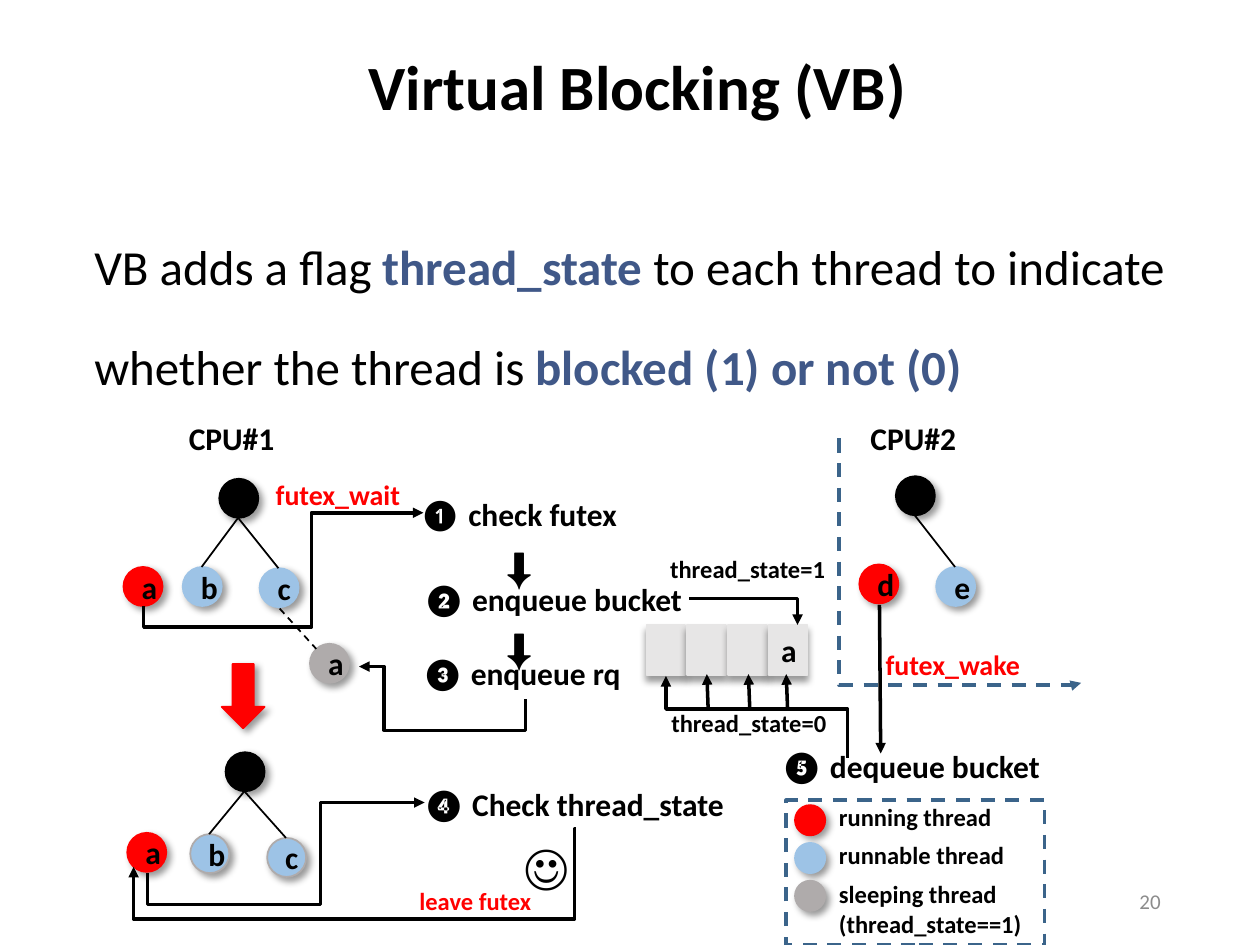
from pptx import Presentation
from pptx.dml.color import RGBColor
from pptx.enum.dml import MSO_LINE
from pptx.enum.shapes import MSO_CONNECTOR, MSO_SHAPE
from pptx.enum.text import MSO_ANCHOR, PP_ALIGN
from pptx.oxml.ns import qn
from pptx.util import Emu, Pt
from lxml.etree import SubElement

PX = 9144  # 100 px to the inch
BLACK = RGBColor(0x00, 0x00, 0x00)
RED = RGBColor(0xFF, 0x00, 0x00)
BLUE = RGBColor(0x9D, 0xC3, 0xE6)
GRAY = RGBColor(0xAF, 0xAB, 0xAB)
PALE = RGBColor(0xE7, 0xE6, 0xE6)
STEEL = RGBColor(0x3B, 0x64, 0x8A)
NAVY = RGBColor(0x40, 0x58, 0x88)
DIM = RGBColor(0x8C, 0x8C, 0x8C)
NODE = 31


def px(*nums):
    return [Emu(n * PX) for n in nums]


def write(frame, text, size=18, color=BLACK, bold=True, align=PP_ALIGN.LEFT,
          space=None):
    """Fill a frame; text is a string or a list of (text, color, bold) runs."""
    runs = [(text, color, bold)] if isinstance(text, str) else text
    para = frame.paragraphs[0]
    para.alignment = align
    if space:
        para.line_spacing = space
    for words, tint, heavy in runs:
        for i, line in enumerate(words.split("\n")):
            if i:
                para = frame.add_paragraph()
                para.alignment = align
            run = para.add_run()
            run.text = line
            run.font.name = "Calibri"
            run.font.size = Pt(size)
            run.font.bold = heavy
            run.font.color.rgb = tint


class Board:
    def __init__(self, slide):
        self.slide = slide
        self.shapes = slide.shapes

    def text(self, x, y, w, h, text, wrap=True, anchor=MSO_ANCHOR.TOP, **style):
        frame = self.shapes.add_textbox(*px(x, y, w, h)).text_frame
        frame.word_wrap = wrap
        frame.vertical_anchor = anchor
        write(frame, text, **style)

    def shape(self, kind, x, y, w, h, fill, edge=None, label=None, angle=45):
        shape = self.shapes.add_shape(kind, *px(x, y, w, h))
        shape.shadow.inherit = False
        shape.fill.solid()
        shape.fill.fore_color.rgb = fill
        shape.line.color.rgb = edge or fill
        shape.line.width = Pt(1)
        cast = SubElement(
            shape._element.spPr.find(qn("a:effectLst")), qn("a:outerShdw"),
            blurRad=str(Pt(4)), dist=str(Pt(3)), dir=str(angle * 60000),
            algn="t", rotWithShape="0")
        tint = SubElement(cast, qn("a:srgbClr"), val="000000")
        SubElement(tint, qn("a:alpha"), val="40000")
        if label:
            write(shape.text_frame, label, align=PP_ALIGN.CENTER)
        return shape

    def node(self, x, y, fill, label=None, edge=None, size=NODE):
        self.shape(MSO_SHAPE.OVAL, x, y, size, size, fill, edge, label)

    def tree(self, root, kids, edge=None):
        """Draw a black root joined to blue nodes given as (x, y, label)."""
        x, y = root
        half = NODE // 2
        self.node(x, y, BLACK)
        for left, top, label in kids:
            self.node(left, top, BLUE, label, edge)
            self.line(x + half, y + NODE, left + half, top)

    def style(self, con, color, width, dash, arrow):
        con.line.color.rgb = color
        con.line.width = Pt(width)
        if dash:
            con.line.dash_style = MSO_LINE.DASH
        if arrow:
            SubElement(con.line._get_or_add_ln(), qn("a:tailEnd"), type="triangle")
        SubElement(con._element.spPr, qn("a:effectLst"))

    def line(self, x1, y1, x2, y2, width=1, dash=False, arrow=False):
        con = self.shapes.add_connector(MSO_CONNECTOR.STRAIGHT,
                                        *px(x1, y1, x2, y2))
        self.style(con, BLACK, width, dash, arrow)

    def bend(self, x, y, w, h, kind, turn=0, flip="", adj=(), color=BLACK,
             dash=False, goal=None):
        """Draw an elbow arrow; x, y, w, h are its frame before the turn."""
        con = self.shapes.add_connector(MSO_CONNECTOR.ELBOW,
                                        *px(x, y, x + w, y + h))
        if goal is not None:
            con.end_connect(goal, 2)
        con.left, con.top, con.width, con.height = px(x, y, w, h)
        props = con._element.spPr
        frame = props.find(qn("a:xfrm"))
        frame.set("rot", str(turn * 60000))
        frame.set("flipH", str(int("h" in flip)))
        frame.set("flipV", str(int("v" in flip)))
        geom = props.find(qn("a:prstGeom"))
        geom.set("prst", f"bentConnector{kind}")
        guides = geom.find(qn("a:avLst"))
        for i, part in enumerate(adj, 1):
            SubElement(guides, qn("a:gd"), name=f"adj{i}",
                       fmla=f"val {round(part * 100000)}")
        self.style(con, color, 2, dash, True)


def main():
    deck = Presentation()
    deck.slide_width, deck.slide_height = px(1000, 750)
    board = Board(deck.slides.add_slide(deck.slide_layouts[6]))
    middle = MSO_ANCHOR.MIDDLE

    board.text(706, 695, 225, 40, "20", size=12, color=DIM, bold=False,
               align=PP_ALIGN.RIGHT, anchor=middle)
    board.text(11, -1, 990, 145, "Virtual Blocking (VB)", size=36,
               align=PP_ALIGN.CENTER, anchor=middle, space=0.9)
    board.text(65, 150, 876, 159, [
        ("VB adds a flag ", BLACK, False),
        ("thread_state ", NAVY, True),
        ("to each thread to indicate whether the thread is ", BLACK, False),
        ("blocked (1) or not (0)", NAVY, True)], size=28, space=1.7)

    # Run queues of both processors
    board.node(98, 450, RED, "a")
    board.tree((174, 380), [(145, 450, "b"), (206, 451, "c")])
    board.node(246, 511, GRAY, "a")
    board.line(222, 483, 251, 515, dash=True)
    board.shape(MSO_SHAPE.DOWN_ARROW, 176, 527, 34, 51, RED)
    board.node(101, 661, RED, "a")
    board.tree((179, 597), [(151, 662, "b"), (212, 665, "c")], GRAY)
    board.node(682, 448, RED, "d")
    board.tree((711, 378), [(743, 450, "e")])

    # Futex bucket
    cells = [board.shape(MSO_SHAPE.RECTANGLE, round(513 + i * 32.4), 496, 31, 40,
                         PALE, label=label, angle=90)
             for i, label in enumerate([None, None, None, "a"])]
    for x in (561, 594, 624):
        board.line(x + 1, 561, x, 535, width=2, arrow=True)

    # Flow arrows
    board.bend(188, 333, 74, 222, 4, 90, "hv", (-0.226, 0.6))
    board.bend(338, 476, 26, 132, 4, 90, "h", (-0.949, 0.849))
    board.bend(199, 555, 56, 220, 4, 90, "hv", (-0.448, 0.625))
    board.bend(547, 475, 86, 21, 2)
    board.bend(568, 497, 65, 144, 3, 270, "v", (0.596,), goal=cells[0])
    board.bend(106, 658, 351, 30, 4, 180, "v", (0.003, 2.386))
    board.bend(665, 349, 194, 192, 3, 270, "h", (1.009,), STEEL, True)
    board.line(698, 480, 699, 598, width=2, arrow=True)

    # Steps and labels
    board.text(323, 388, 188, 40, [("❶ ", BLACK, False),
                                   ("check futex", BLACK, True)])
    board.text(326, 455, 250, 40, "❷ enqueue bucket", anchor=middle)
    for x, y, w, label in [
            (325, 514, 184, "❸ enqueue rq"),
            (326, 618, 268, "❹ Check thread_state"),
            (610, 588, 246, "❺ dequeue bucket"),
            (140, 328, 107, "CPU#1"), (681, 328, 107, "CPU#2")]:
        board.text(x, y, w, 40, label)
    board.text(209, 374, 124, 37, "futex_wait", size=16, color=RED)
    board.text(693, 509, 139, 37, "futex_wake", size=16, color=RED)
    board.text(323, 698, 132, 34, "leave futex", size=14, color=RED)
    board.text(522, 435, 144, 34, "thread_state=1", size=14, wrap=False)
    board.text(523, 557, 144, 34, "thread_state=0", size=14, wrap=False)
    for y in (425, 489):
        board.text(392, y, 44, 50, "⬇", size=24)
    board.text(406, 658, 71, 57, "☺", size=28)

    # Legend
    for i, (fill, label) in enumerate([
            (RED, "running thread"), (BLUE, "runnable thread"),
            (GRAY, "sleeping thread\n(thread_state==1)")]):
        board.node(631, 639 + i * 30, fill, size=24)
        board.text(656, round(632 + i * 30.5), 185, 34, label, size=14)
    frame = board.shapes.add_shape(MSO_SHAPE.RECTANGLE, *px(624, 635, 205, 115))
    frame.shadow.inherit = False
    frame.fill.background()
    frame.line.color.rgb = STEEL
    frame.line.width = Pt(2)
    frame.line.dash_style = MSO_LINE.DASH

    deck.save("out.pptx")


if __name__ == "__main__":
    main()
